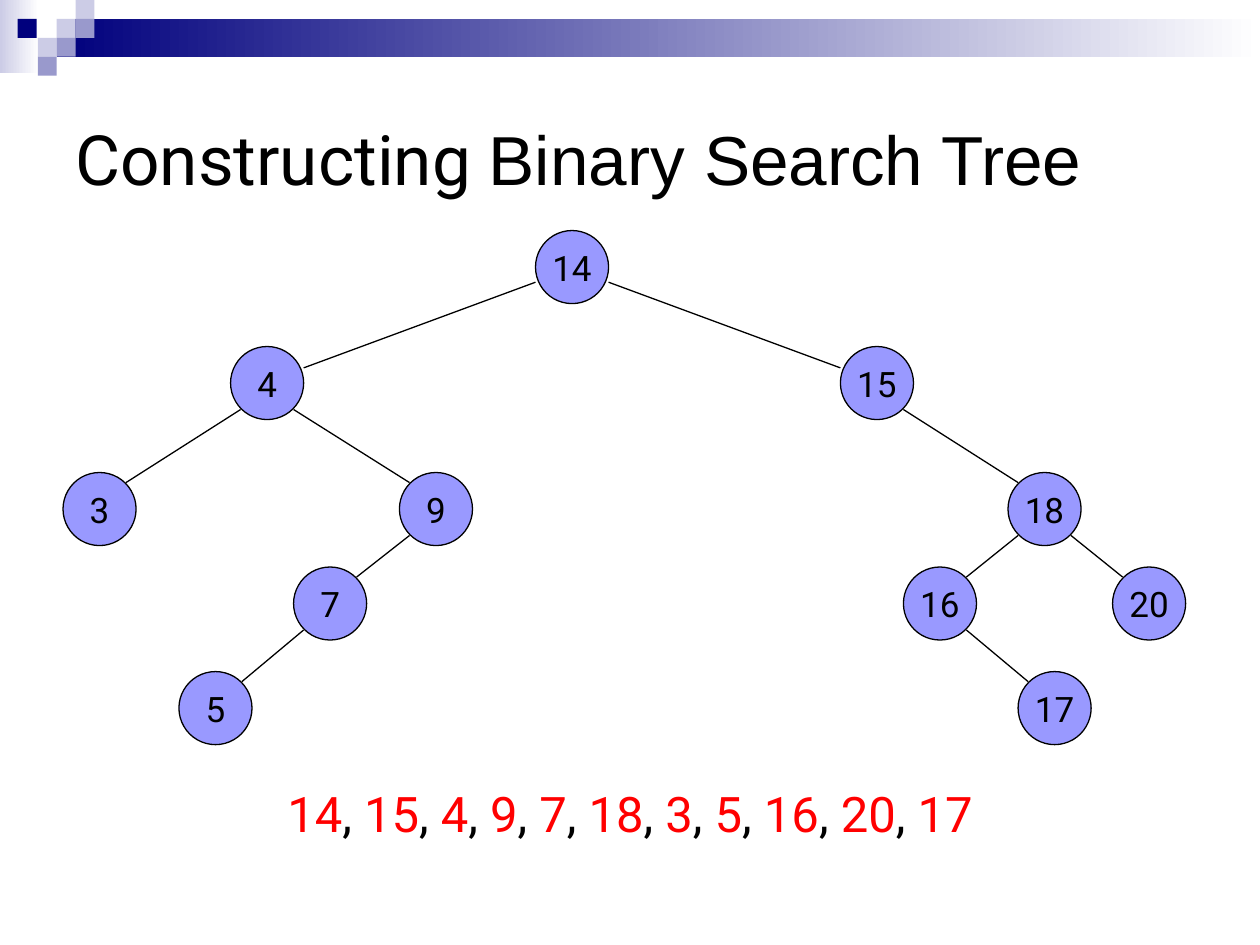
"""Build a slide showing a binary search tree and its insertion sequence."""
from lxml import etree
from pptx import Presentation
from pptx.dml.color import RGBColor
from pptx.enum import shapes, text
from pptx.oxml import ns
from pptx.util import Inches, Pt

BLACK = RGBColor(0x00, 0x00, 0x00)
WHITE = RGBColor(0xFF, 0xFF, 0xFF)
RED = RGBColor(0xFF, 0x00, 0x00)
NAVY = RGBColor(0x00, 0x00, 0x7D)
PALE = RGBColor(0xCC, 0xCC, 0xE6)
MID = RGBColor(0x99, 0x99, 0xCC)
NODE_FILL = RGBColor(0x99, 0x99, 0xFF)

TITLE = [("Constructing ", "Roboto"), ("Binary Search Tree", "Arial")]
SEQUENCE = [14, 15, 4, 9, 7, 18, 3, 5, 16, 20, 17]

# value: (parent, left, top)
NODES = {
    14: (None, 4.25, 1.83),
    15: (14, 6.67, 2.75),
    4: (14, 1.83, 2.75),
    9: (4, 3.17, 3.75),
    7: (9, 2.33, 4.5),
    18: (15, 8, 3.75),
    3: (4, 0.5, 3.75),
    5: (7, 1.42, 5.33),
    16: (18, 7.17, 4.5),
    20: (18, 8.83, 4.5),
    17: (16, 8.08, 5.33),
}
DIAMETER = 0.58
LABEL_WIDTH, LABEL_HEIGHT = 0.75, 0.43
ROOT_INSET, INSET = (0, 0.17), (0.08, 0.08)

BANDS = [((0, 0, 0.31, 0.58), PALE), ((0.45, 0.15, 9.55, 0.3), NAVY)]
TILE = 0.15
TILES = [(0.45, 0.15, PALE), (0.6, 0, PALE), (0.6, 0.15, MID), (0.3, 0.3, PALE),
         (0.14, 0.15, NAVY), (0.45, 0.3, MID), (0.3, 0.45, MID)]


def add_block(parent, kind, box):
    block = parent.add_shape(kind, *map(Inches, box))
    block.shadow.inherit = False
    return block


def add_text(parent, box, runs, size, align, anchor=text.MSO_ANCHOR.TOP):
    frame = parent.add_textbox(*map(Inches, box)).text_frame
    frame.word_wrap = True
    frame.vertical_anchor = anchor
    paragraph = frame.paragraphs[0]
    paragraph.alignment = align
    for words, font, color in runs:
        run = paragraph.add_run()
        run.text = words
        run.font.name = font
        run.font.size = Pt(size)
        run.font.color.rgb = color


def add_banner(parent):
    for box, color in BANDS:
        band = add_block(parent, shapes.MSO_SHAPE.RECTANGLE, box)
        band.line.fill.background()
        band.fill.gradient()
        band.fill.gradient_angle = 0
        for stop, shade in zip(band.fill.gradient_stops, (color, WHITE)):
            stop.color.rgb = shade
    for left, top, color in TILES:
        tile = add_block(parent, shapes.MSO_SHAPE.RECTANGLE, (left, top, TILE, TILE))
        tile.line.fill.background()
        tile.fill.solid()
        tile.fill.fore_color.rgb = color


def add_node(parent, value, left, top):
    circle = add_block(parent, shapes.MSO_SHAPE.OVAL, (left, top, DIAMETER, DIAMETER))
    circle.fill.solid()
    circle.fill.fore_color.rgb = NODE_FILL
    circle.line.color.rgb = BLACK
    circle.line.width = Pt(0.75)
    label_box = (left + (DIAMETER - LABEL_WIDTH) / 2, top + (DIAMETER - LABEL_HEIGHT) / 2,
                 LABEL_WIDTH, LABEL_HEIGHT)
    add_text(parent, label_box, [(str(value), "Roboto", BLACK)], 20, text.PP_ALIGN.CENTER)


def add_edge(parent, upper, child):
    grandparent, upper_left, upper_top = NODES[upper]
    _, child_left, child_top = NODES[child]
    dx, dy = ROOT_INSET if grandparent is None else INSET
    near, far = dx, DIAMETER - dx
    start, end = (near, far) if child < upper else (far, near)
    ends = (upper_left + start, upper_top + DIAMETER - dy, child_left + end, child_top + dy)
    edge = parent.add_connector(shapes.MSO_CONNECTOR.STRAIGHT, *map(Inches, ends))
    edge.line.color.rgb = BLACK
    edge.line.width = Pt(0.75)
    etree.SubElement(edge._element.spPr, ns.qn("a:effectLst"))


def main():
    deck = Presentation()
    deck.slide_width, deck.slide_height = Inches(10), Inches(7.5)
    slide = deck.slides.add_slide(deck.slide_layouts[6])

    add_banner(slide.shapes.add_group_shape().shapes)
    title_runs = [(words, font, BLACK) for words, font in TITLE]
    add_text(slide.shapes, (0.5, 0.5, 9, 1.5), title_runs, 39.6,
             text.PP_ALIGN.LEFT, text.MSO_ANCHOR.MIDDLE)

    sequence_runs = []
    for value in SEQUENCE:
        if sequence_runs:
            sequence_runs.append((", ", "Roboto", BLACK))
        sequence_runs.append((str(value), "Roboto", RED))
    add_text(slide.shapes, (0.5, 6.17, 9, 0.75), sequence_runs, 28, text.PP_ALIGN.CENTER)

    tree = slide.shapes.add_group_shape().shapes
    for value, (upper, left, top) in NODES.items():
        add_node(tree, value, left, top)
        if upper is not None:
            add_edge(tree, upper, value)

    deck.save("out.pptx")


if __name__ == "__main__":
    main()
